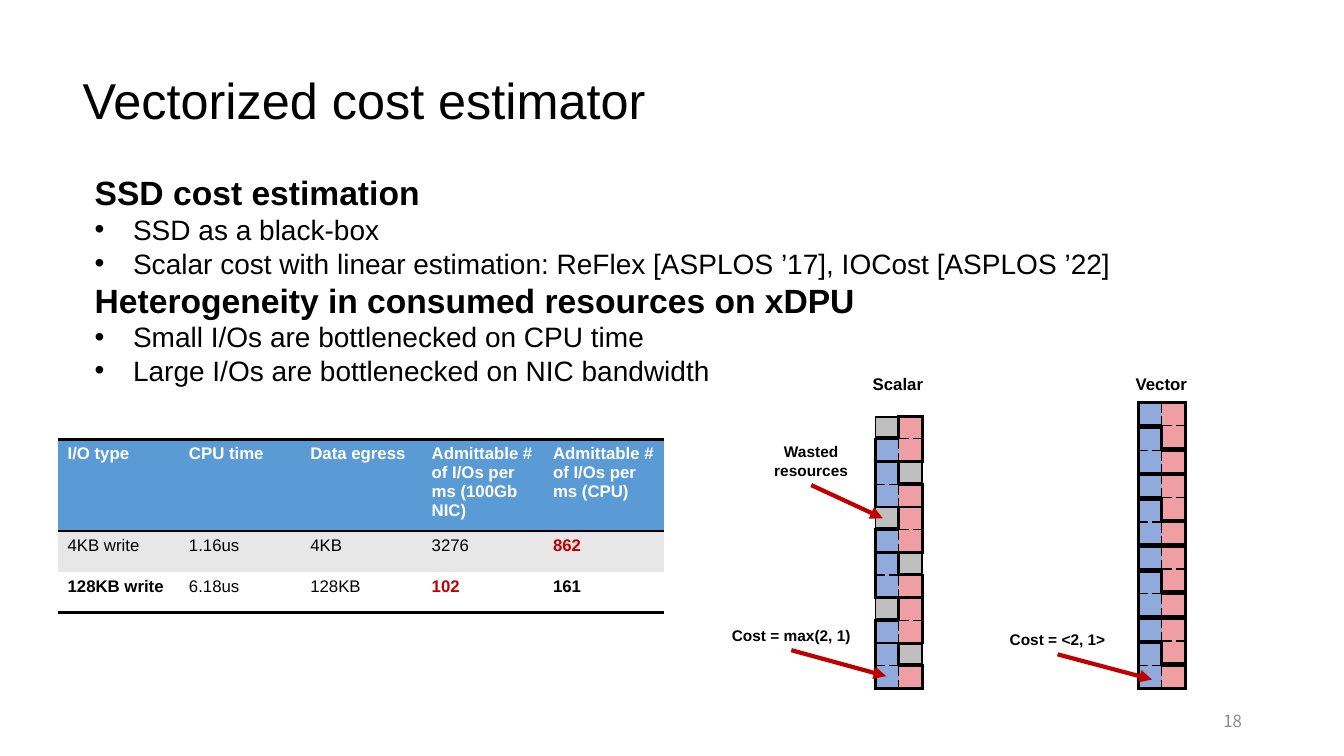
from dataclasses import dataclass

from lxml import etree
from pptx import Presentation
from pptx.dml.color import RGBColor
from pptx.enum.shapes import MSO_CONNECTOR, MSO_SHAPE
from pptx.enum.text import MSO_ANCHOR, MSO_AUTO_SIZE, PP_ALIGN
from pptx.oxml.ns import qn
from pptx.util import Inches, Pt

LEFT, CENTER, RIGHT = PP_ALIGN.LEFT, PP_ALIGN.CENTER, PP_ALIGN.RIGHT
TOP, MIDDLE = MSO_ANCHOR.TOP, MSO_ANCHOR.MIDDLE
FIT_SHAPE = MSO_AUTO_SIZE.SHAPE_TO_FIT_TEXT
RECTANGLE, STRAIGHT = MSO_SHAPE.RECTANGLE, MSO_CONNECTOR.STRAIGHT
BOTTOM_SIDE = 2
COLUMNS, ROWS = 32, 18
NO_TABLE_STYLE = "{2D5ABB26-0587-4C30-8999-92F81FD0307C}"
SIDES = {"lnL": (0, -1), "lnR": (0, 1), "lnT": (-1, 0), "lnB": (1, 0)}


@dataclass(frozen=True)
class Theme:
    font: str = "Arial"
    number_font: str = "Noto Sans CJK SC"
    ink: str = "000000"
    paper: str = "FFFFFF"
    muted: str = "8C8C8C"
    accent: str = "C00000"
    header: str = "5B9BD5"
    band: str = "E7E7E7"
    cpu: str = "90AADB"
    network: str = "EF9FA3"
    wasted: str = "BFBFBF"
    title: int = 36
    heading: int = 24
    body: int = 20
    small: int = 12
    label: int = 11


THEME = Theme()


def add_child(parent, tag, **attributes):
    return etree.SubElement(parent, qn(f"a:{tag}"), **attributes)


def write(para, text, *, size, color=THEME.ink, bold=False, font=THEME.font,
          align=LEFT, spacing=None, bullet=False):
    para.alignment = align
    if spacing:
        para.line_spacing = spacing
    if bullet:
        properties = para._p.get_or_add_pPr()
        properties.set("marL", str(Inches(0.38)))
        properties.set("indent", str(-Inches(0.38)))
        add_child(properties, "buFont", typeface=THEME.font)
        add_child(properties, "buChar", char="•")
    span = para.add_run()
    span.text = text
    span.font.name, span.font.size, span.font.bold = font, Pt(size), bold
    span.font.color.rgb = RGBColor.from_string(color)


def draw_border(cell, side, width, dash="solid"):
    line = add_child(cell._tc.get_or_add_tcPr(), side, w=str(Pt(width)))
    add_child(add_child(line, "solidFill"), "srgbClr", val=THEME.ink)
    add_child(line, "prstDash", val=dash)


def paint(target, color):
    target.fill.solid()
    target.fill.fore_color.rgb = RGBColor.from_string(color)


class SlideBuilder:
    def __init__(self, deck, theme):
        self.theme = theme
        self.page = deck.slides.add_slide(deck.slide_layouts[6])
        self.column = deck.slide_width / COLUMNS
        self.row = deck.slide_height / ROWS

    def place(self, left, top, width, height):
        return (round(left * self.column), round(top * self.row),
                round(width * self.column), round(height * self.row))

    def text(self, area, lines, anchor=TOP, fit=False, **style):
        box = self.page.shapes.add_textbox(*self.place(*area))
        frame = box.text_frame
        frame.word_wrap, frame.vertical_anchor = True, anchor
        if fit:
            frame.auto_size = FIT_SHAPE
        for index, line in enumerate(lines):
            text, changes = line if isinstance(line, tuple) else (line, {})
            para = frame.add_paragraph() if index else frame.paragraphs[0]
            write(para, text, **{**style, **changes})
        return box

    def label(self, area, *lines, size=THEME.label):
        return self.text(area, lines, fit=True, size=size, bold=True, align=CENTER)

    def table(self, area, row_count, column_count):
        frame = self.page.shapes.add_table(row_count, column_count, *self.place(*area))
        table = frame.table
        table.first_row = table.horz_banding = False
        table._tbl.tblPr.find(qn("a:tableStyleId")).text = NO_TABLE_STYLE
        return table

    def cost_table(self, area, heights, records, styles):
        table = self.table(area, len(records), len(records[0]))
        fills = self.theme.header, self.theme.band, self.theme.paper
        for row, record in enumerate(records):
            table.rows[row].height = round(heights[row] * self.row)
            for column, text in enumerate(record):
                cell = table.cell(row, column)
                if row == 0:
                    draw_border(cell, "lnT", 2)
                if row != 1:
                    draw_border(cell, "lnB", 2)
                paint(cell, fills[row])
                style = {"color": self.theme.paper, "bold": True} if row == 0 else {}
                style = styles.get((row, column), style)
                write(cell.text_frame.paragraphs[0], text, size=self.theme.small, **style)

    def tile(self, left, top, filled):
        colors = self.theme.cpu, self.theme.network
        table = self.table((left, top, 1.12, 1.08), 2, 2)
        for row in range(2):
            for column in range(2):
                cell = table.cell(row, column)
                cell.margin_left = cell.margin_right = 0
                cell.margin_top = cell.margin_bottom = 0
                add_child(cell.text_frame.paragraphs[0]._p, "endParaRPr", sz="400")
                occupied = (row, column) in filled
                for side, (down, across) in SIDES.items():
                    neighbour = (row + down, column + across) in filled
                    if occupied and neighbour:
                        draw_border(cell, side, 1, "sysDash")
                    elif occupied or neighbour:
                        draw_border(cell, side, 2.25)
                if occupied:
                    paint(cell, colors[column])
                else:
                    cell.fill.background()

    def wasted_block(self, left, top):
        block = self.page.shapes.add_shape(RECTANGLE, *self.place(left, top, 0.53, 0.48))
        block.shadow.inherit = False
        paint(block, self.theme.wasted)
        block.line.color.rgb = RGBColor.from_string(self.theme.ink)
        block.line.width = Pt(1)

    def arrow(self, box, left, top):
        end_x, end_y, _, _ = self.place(left, top, 0, 0)
        arrow = self.page.shapes.add_connector(STRAIGHT, 0, 0, end_x, end_y)
        arrow.begin_connect(box, BOTTOM_SIDE)
        arrow.line.color.rgb = RGBColor.from_string(self.theme.accent)
        arrow.line.width = Pt(3)
        add_child(arrow.line._get_or_add_ln(), "tailEnd", type="triangle")
        add_child(arrow._element.spPr, "effectLst")


def main():
    deck = Presentation()
    deck.slide_width, deck.slide_height = Inches(13.33), Inches(7.5)
    slide = SlideBuilder(deck, THEME)
    heading = {"size": THEME.heading, "bold": True}

    slide.text((1.73, 0.72, 28.58, 3.48), ["Vectorized cost estimator"],
               anchor=MIDDLE, size=THEME.title, spacing=0.9)
    slide.text((22.61, 16.68, 7.2, 0.96), ["18"], anchor=MIDDLE, size=THEME.small,
               color=THEME.muted, font=THEME.number_font, align=RIGHT)
    slide.text((2.02, 3.98, 25.39, 5.42), [
        ("SSD cost estimation", {**heading, "bullet": False}),
        "SSD as a black-box",
        "Scalar cost with linear estimation: ReFlex [ASPLOS ’17], IOCost [ASPLOS ’22]",
        ("Heterogeneity in consumed resources on xDPU", {**heading, "bullet": False}),
        "Small I/Os are bottlenecked on CPU time",
        "Large I/Os are bottlenecked on NIC bandwidth",
    ], fit=True, size=THEME.body, bullet=True)

    limit, strong = {"color": THEME.accent, "bold": True}, {"bold": True}
    slide.cost_table((1.37, 10.46, 14.45, 4.13), (2.19, 0.97, 0.97), [
        ("I/O type", "CPU time", "Data egress",
         "Admittable # of I/Os per ms (100Gb NIC)", "Admittable # of I/Os per ms (CPU)"),
        ("4KB write", "1.16us", "4KB", "3276", "862"),
        ("128KB write", "6.18us", "128KB", "102", "161"),
    ], {(1, 4): limit, (2, 0): strong, (2, 3): limit, (2, 4): strong})

    network_heavy = {(0, 1), (1, 0), (1, 1)}
    cpu_heavy = {(0, 0), (1, 0), (1, 1)}
    network_below = {(0, 0), (0, 1), (1, 1)}
    for index in range(6):
        slide.tile(20.84, 9.91 + 1.08 * index, (network_heavy, cpu_heavy)[index % 2])
    for index in range(6):
        slide.wasted_block(20.84 + 0.58 * (index % 2), 9.93 + 1.08 * index)
    for index in range(4):
        bottom = 15.31 - 1.71 * index
        slide.tile(27.1, bottom, cpu_heavy)
        slide.tile(27.1, bottom - 0.59, network_below)

    for left, name in ((19.39, "Scalar"), (25.66, "Vector")):
        slide.label((left, 8.78, 3.98, 0.72), name, size=THEME.small)
    wasted = slide.label((17.9, 10.42, 2.83, 1.13), "Wasted", "resources")
    scalar_cost = slide.label((17.04, 14.78, 3.6, 0.7), "Cost = max(2, 1)")
    vector_cost = slide.label((23.38, 14.88, 3.6, 0.7), "Cost = <2, 1>")
    slide.arrow(wasted, 21.02, 12.34)
    slide.arrow(scalar_cost, 21.1, 16.1)
    slide.arrow(vector_cost, 27.43, 16.18)
    deck.save("out.pptx")


if __name__ == "__main__":
    main()
